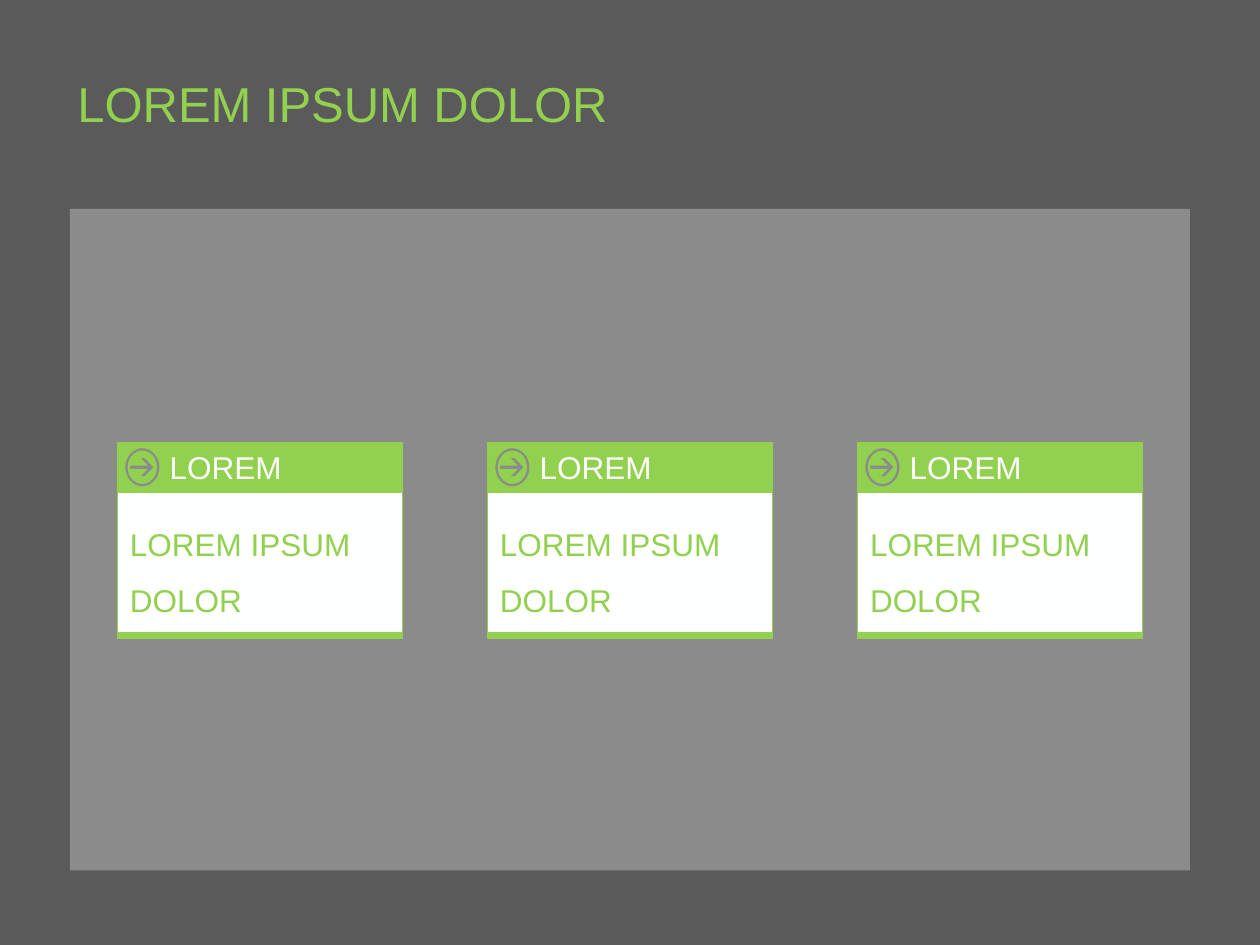
from lxml import etree
from pptx import Presentation, util as u
from pptx.dml.color import RGBColor
from pptx.enum import shapes, text
from pptx.oxml.ns import qn

COLORS = {"back": "5A5A5A", "panel": "FFFFFF", "green": "92D050", "white": "FEFFFF"}


def write(box, words, color, size=18, spacing=1.0, insets=(0.25, 0.13, 0.25, 0.13)):
    frame = box.text_frame
    frame.word_wrap = True
    frame.auto_size = text.MSO_AUTO_SIZE.NONE
    frame.vertical_anchor = text.MSO_ANCHOR.MIDDLE
    frame.margin_left, frame.margin_top, frame.margin_right, frame.margin_bottom = map(u.Cm, insets)
    para = frame.paragraphs[0]
    para.alignment = text.PP_ALIGN.LEFT
    para.line_spacing = spacing
    span = para.add_run()
    span.text = words
    span.font.name = "Arial"
    span.font.size = u.Pt(size)
    span.font.color.rgb = RGBColor.from_string(COLORS[color])


def paint(shape, fill, line="green"):
    shape.shadow.inherit = False
    shape.fill.solid()
    shape.fill.fore_color.rgb = RGBColor.from_string(COLORS[fill])
    if line:
        shape.line.color.rgb = RGBColor.from_string(COLORS[line])
        shape.line.width = u.Pt(0.25)
    else:
        shape.line.fill.background()


deck = Presentation()
deck.slide_width, deck.slide_height = u.Cm(25.4), u.Cm(19.05)
page = deck.slides.add_slide(deck.slide_layouts[5])
page.background.fill.solid()
page.background.fill.fore_color.rgb = RGBColor.from_string(COLORS["back"])

panel = page.shapes.add_shape(
    shapes.MSO_SHAPE.RECTANGLE, u.Cm(1.41), u.Cm(4.21), u.Cm(22.58), u.Cm(13.34)
)
paint(panel, "panel", line=None)
tint = panel._element.spPr.find(qn("a:solidFill"))[0]
etree.SubElement(tint, qn("a:alpha")).set("val", "30000")

title = page.shapes.title
title.left, title.top, title.width, title.height = u.Cm(1.41), u.Cm(1.04), u.Cm(22.56), u.Cm(2.21)
write(title, "LOREM IPSUM DOLOR", "green", size=28, spacing=0.9, insets=(0.15, 0.08, 0.15, 0.08))

first_left, pitch, card_width = 2.37, 7.46, 5.74
header_top, body_top, footer_top, card_bottom = 8.92, 9.93, 12.75, 12.87
icon_x, icon_y = 0.5, 0.5
arrow = [(-0.05, -0.19), (0.1, -0.04), (-0.25, -0.04), (-0.25, 0.04), (0.1, 0.04),
         (-0.05, 0.19), (0.05, 0.19), (0.23, 0), (0.05, -0.19)]
bend = 0.55
circle = [(0, -1), (bend, -1), (1, -bend), (1, 0), (1, bend), (bend, 1), (0, 1),
          (-bend, 1), (-1, bend), (-1, 0), (-1, -bend), (-bend, -1), (0, -1)]
rings = [[(rx * x, ry * y) for x, y in circle] for rx, ry in ((0.29, 0.33), (0.35, 0.39))]

for index in range(3):
    left = first_left + index * pitch
    right = left + card_width
    card = page.shapes.add_group_shape()

    outline = [(left, header_top), (right, header_top), (right, body_top), (left, body_top)]
    icon = [[(left + icon_x + x, header_top + icon_y + y) for x, y in contour]
            for contour in (arrow, *rings)]
    builder = card.shapes.build_freeform(u.Cm(left), u.Cm(header_top))
    for number, contour in enumerate([outline, *icon]):
        points = [(u.Cm(x), u.Cm(y)) for x, y in contour]
        if number:
            builder.move_to(*points[0])
        builder.add_line_segments(points[1:], close=True)
    header = builder.convert_to_shape()
    straight = len(outline) + len(arrow) - 2
    segments = list(header._element.iter(qn("a:lnTo")))[straight:]
    for start in range(0, len(segments), 3):
        curve = etree.Element(qn("a:cubicBezTo"))
        segments[start].addprevious(curve)
        for segment in segments[start:start + 3]:
            curve.append(segment[0])
            segment.getparent().remove(segment)
    paint(header, "green")
    write(header, "LOREM", "white", insets=(1.05, 0.12, 0.25, 0.13))

    body, footer = [
        card.shapes.add_shape(shapes.MSO_SHAPE.RECTANGLE, u.Cm(left), u.Cm(top),
                              u.Cm(card_width), u.Cm(bottom - top))
        for top, bottom in ((body_top, footer_top), (footer_top, card_bottom))
    ]
    paint(body, "white")
    write(body, "LOREM IPSUM DOLOR", "green", spacing=1.5)
    paint(footer, "green")

deck.save("out.pptx")
